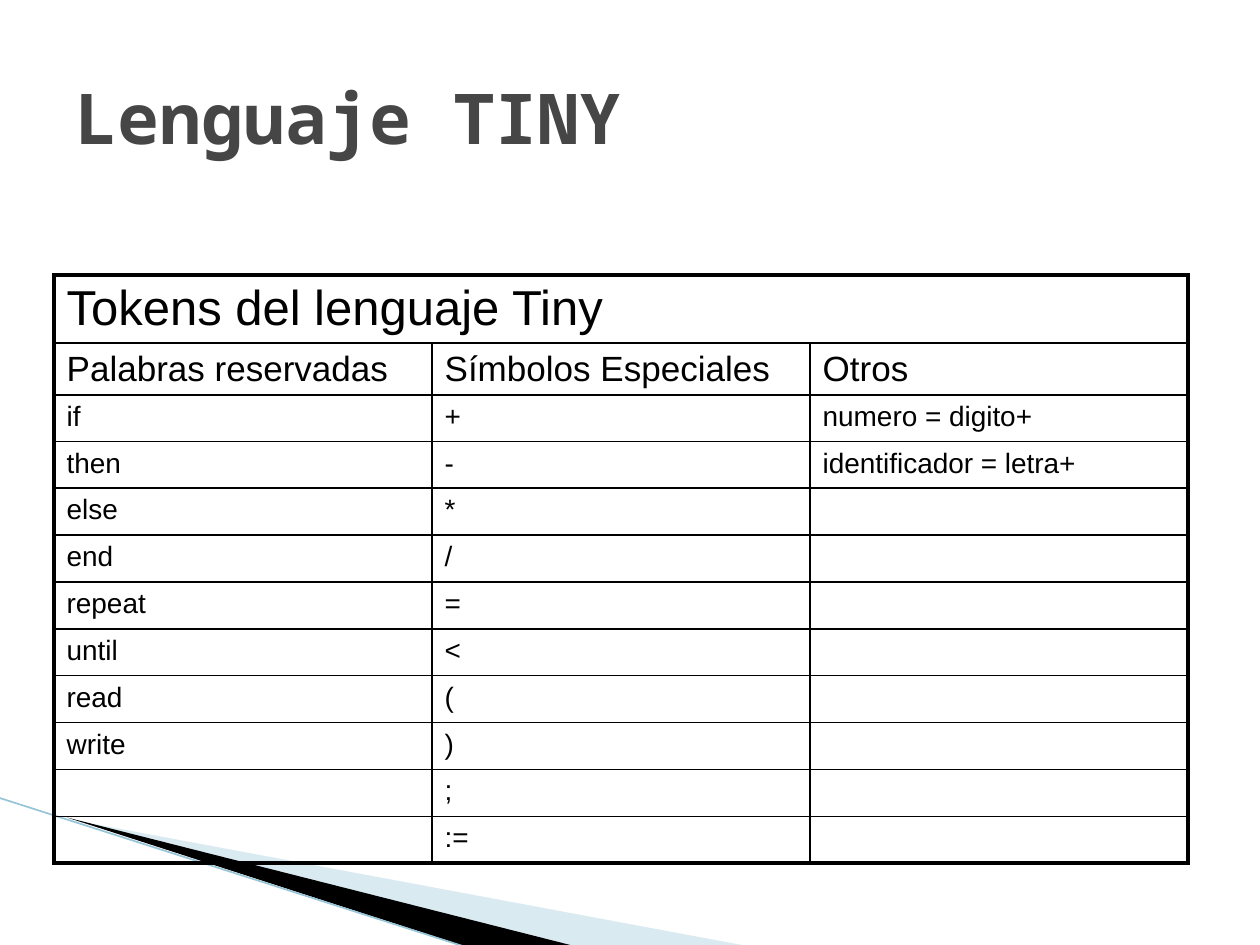
from dataclasses import dataclass
from typing import Optional

from lxml import etree
from pptx import Presentation
from pptx.dml.color import RGBColor
from pptx.enum.shapes import MSO_CONNECTOR
from pptx.enum.text import MSO_ANCHOR, PP_ALIGN
from pptx.oxml.ns import qn
from pptx.util import Cm, Pt

STRAIGHT = MSO_CONNECTOR.STRAIGHT
MIDDLE = MSO_ANCHOR.MIDDLE
LEFT = PP_ALIGN.LEFT

BLACK = RGBColor(0x00, 0x00, 0x00)
GREY = RGBColor(0x46, 0x46, 0x46)
PALE_BLUE = RGBColor(0xA0, 0xCB, 0xDC)
LINE_BLUE = RGBColor(0x97, 0xC5, 0xD8)

THIN, THICK = 1, 2.25
COL_WIDTH = 7.62
ROW_HEIGHT = 0.94
HEADING_HEIGHTS = [1.38, 1.04]
HEADING_SIZES = [28, 20]
TOKEN_SIZE = 16

ROWS = [
    ("Tokens del lenguaje Tiny", "", ""),
    ("Palabras reservadas", "Símbolos Especiales", "Otros"),
    ("if", "+", "numero = digito+"),
    ("then", "-", "identificador = letra+"),
    ("else", "*", ""),
    ("end", "/", ""),
    ("repeat", "=", ""),
    ("until", "<", ""),
    ("read", "(", ""),
    ("write", ")", ""),
    ("", ";", ""),
    ("", ":=", ""),
]


@dataclass
class Wedge:
    points: list[tuple[float, float]]
    color: RGBColor
    opacity: Optional[int] = None


WEDGES = [
    Wedge([(1.4, 16.52), (15.11, 19.08), (11.58, 19.08)], PALE_BLUE, 40),
    Wedge([(1.35, 16.48), (11.61, 19.08), (9.45, 19.1)], BLACK),
]


def format_font(font, **values) -> None:
    color = values.pop("color")
    for name, value in values.items():
        setattr(font, name, value)
    font.color.rgb = color


def add_wedge(s, wedge: Wedge) -> None:
    start, *rest = [(Cm(x), Cm(y)) for x, y in wedge.points]
    builder = s.shapes.build_freeform(*start, scale=1.0)
    builder.add_line_segments(rest, close=True)
    sp = builder.convert_to_shape()
    sp.shadow.inherit = False
    sp.fill.solid()
    sp.fill.fore_color.rgb = wedge.color
    sp.line.fill.background()
    if wedge.opacity is not None:
        color = sp.fill._xPr.find(qn("a:solidFill"))[0]
        etree.SubElement(color, qn("a:alpha"), val=str(wedge.opacity * 1000))


def add_edge_line(s) -> None:
    line = s.shapes.add_connector(STRAIGHT, Cm(-0.03), Cm(16.08), Cm(9.42), Cm(19.1))
    line.line.color.rgb = LINE_BLUE
    line.line.width = Pt(0.95)
    etree.SubElement(line._element.spPr, qn("a:effectLst"))


def set_borders(cell, widths: dict[str, float]) -> None:
    tc_pr = cell._tc.get_or_add_tcPr()
    for side, width in widths.items():
        ln = etree.SubElement(tc_pr, qn(f"a:ln{side}"), w=str(Pt(width)))
        fill = etree.SubElement(ln, qn("a:solidFill"))
        etree.SubElement(fill, qn("a:srgbClr"), val=str(BLACK))


def fill_cell(cell, text: str, size: float) -> None:
    p = cell.text_frame.paragraphs[0]
    p.alignment = LEFT
    space = etree.SubElement(p._p.get_or_add_pPr(), qn("a:spcBef"))
    etree.SubElement(space, qn("a:spcPct"), val="20000")
    if text:
        r = p.add_run()
        r.text = text
        format_font(r.font, name="Arial", size=Pt(size), bold=False, color=BLACK)
    else:
        # The end mark sets the line height of an empty cell
        etree.SubElement(p._p, qn("a:endParaRPr"), sz=str(size * 100))


def add_token_table(s) -> None:
    token_rows = len(ROWS) - len(HEADING_HEIGHTS)
    heights = HEADING_HEIGHTS + [ROW_HEIGHT] * token_rows
    sizes = HEADING_SIZES + [TOKEN_SIZE] * token_rows
    cols = len(ROWS[0])
    table = s.shapes.add_table(
        len(ROWS), cols, Cm(1.09), Cm(5.54), Cm(COL_WIDTH * cols), Cm(sum(heights))
    ).table
    table.first_row = table.horz_banding = False
    for column in table.columns:
        column.width = Cm(COL_WIDTH)
    for i, (texts, height, size) in enumerate(zip(ROWS, heights, sizes)):
        table.rows[i].height = Cm(height)
        for j, text in enumerate(texts):
            cell = table.cell(i, j)
            fill_cell(cell, text, size)
            set_borders(cell, {
                "L": THICK if j == 0 else THIN,
                "R": THICK if j == cols - 1 or i == 0 else THIN,
                "T": THICK if i == 0 else THIN,
                "B": THICK if i == len(ROWS) - 1 else THIN,
            })
            cell.fill.background()
    table.cell(0, 0).merge(table.cell(0, cols - 1))


def set_title(s) -> None:
    title = s.shapes.title
    box = {"left": 1.27, "top": 0.76, "width": 22.86, "height": 3.18}
    for name, value in box.items():
        setattr(title, name, Cm(value))
    tf = title.text_frame
    tf.vertical_anchor = MIDDLE
    p = tf.paragraphs[0]
    p.alignment = LEFT
    r = p.add_run()
    r.text = "Lenguaje TINY"
    format_font(r.font, name="Noto Sans Mono", size=Pt(40), bold=True, color=GREY)


def main() -> None:
    prs = Presentation()
    prs.slide_width, prs.slide_height = Cm(25.4), Cm(19.05)
    s = prs.slides.add_slide(prs.slide_layouts[5])
    for wedge in WEDGES:
        add_wedge(s, wedge)
    add_edge_line(s)
    set_title(s)
    add_token_table(s)
    prs.save("out.pptx")


if __name__ == "__main__":
    main()
